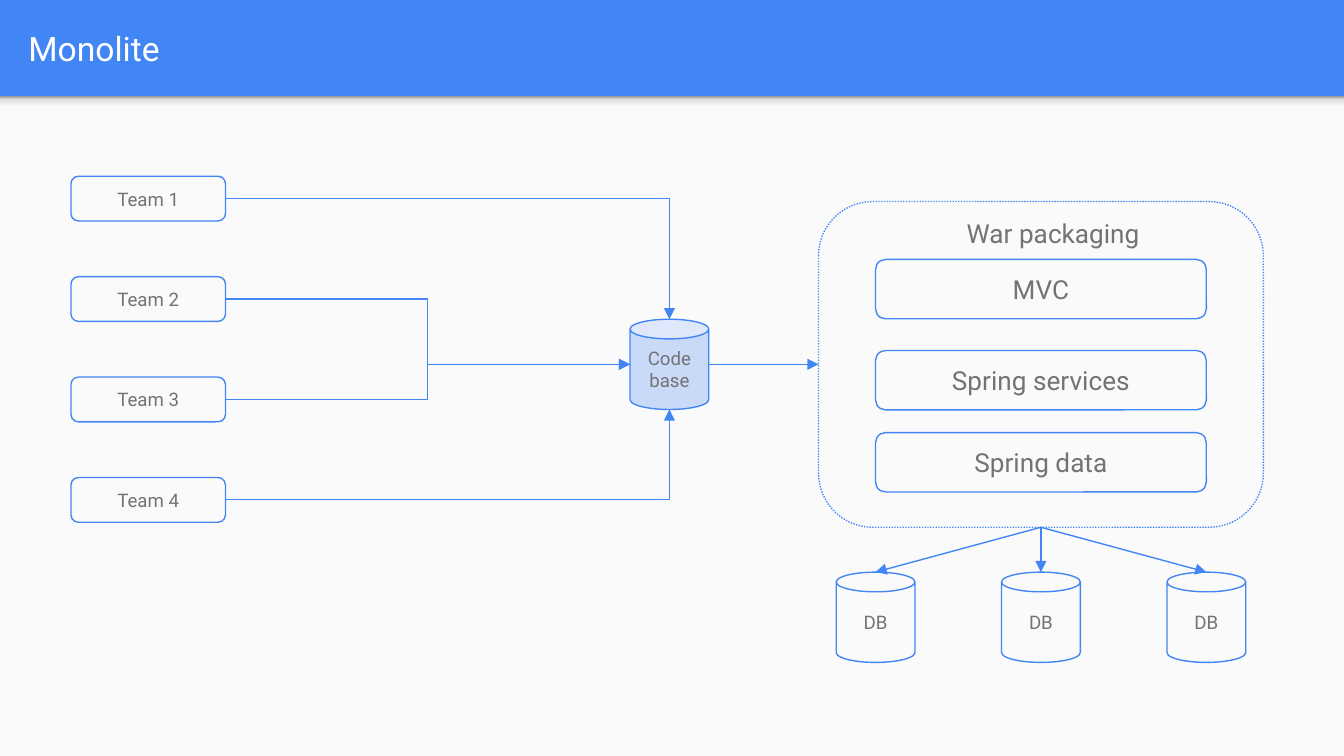
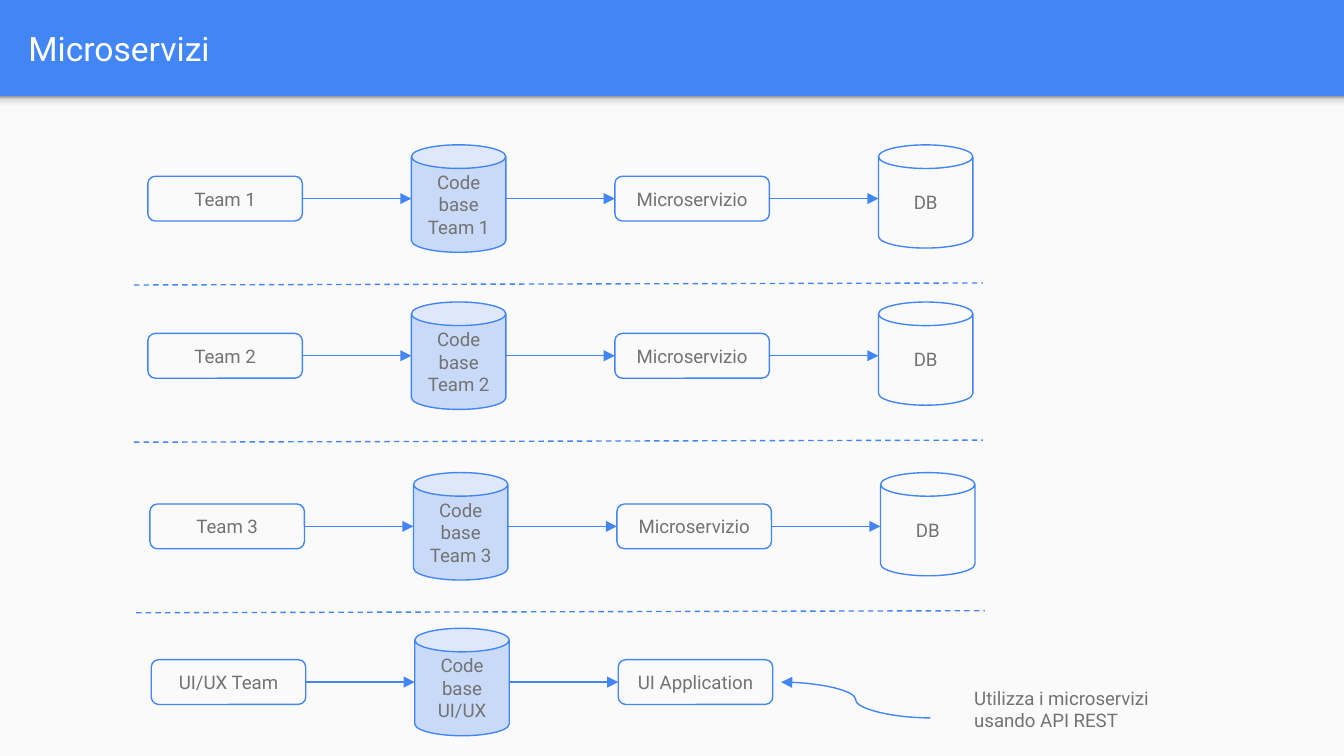
from lxml.etree import SubElement
from pptx import Presentation
from pptx.dml.color import RGBColor
from pptx.enum.dml import MSO_LINE
from pptx.enum.shapes import MSO_CONNECTOR, MSO_SHAPE
from pptx.enum.text import MSO_ANCHOR, MSO_AUTO_SIZE, PP_ALIGN
from pptx.oxml.ns import qn
from pptx.util import Pt

COLORS = {
    "blue": "4285F4",
    "pale_blue": "C9DAF8",
    "panel": "FAFAFA",
    "text": "737373",
    "white": "FFFFFF",
}
SHADE_STOPS = [(0, "F9F9F9"), (36, "F9F9F9"), (80, "DEDEDE"), (100, "999999")]
FONT = "Roboto"
PAGE_WIDTH, PAGE_HEIGHT = 720, 405
BAND_HEIGHT = 51.6
TEAM_SIZE = (82.8, 24)
INSETS = (7.2, 7.2, 7.2, 7.2)


def color(name):
    return RGBColor.from_string(COLORS[name])


def write_text(frame, text, size=10, ink="text", align=PP_ALIGN.CENTER,
               anchor=MSO_ANCHOR.MIDDLE, insets=INSETS):
    """Fill a text frame, one paragraph per line of text."""
    frame.word_wrap = True
    frame.auto_size = MSO_AUTO_SIZE.NONE
    frame.vertical_anchor = anchor
    (frame.margin_left, frame.margin_top,
     frame.margin_right, frame.margin_bottom) = map(Pt, insets)
    frame.text = text
    for para in frame.paragraphs:
        para.alignment = align
        for span in para.runs:
            span.font.name = FONT
            span.font.size = Pt(size)
            span.font.color.rgb = color(ink)


class Deck:
    def __init__(self):
        self.deck = Presentation()
        self.deck.slide_width = Pt(PAGE_WIDTH)
        self.deck.slide_height = Pt(PAGE_HEIGHT)
        self.layout = self.deck.slide_layouts.get_by_name("Title Only")
        self.page = None

    def add_page(self, title):
        self.page = self.deck.slides.add_slide(self.layout)
        if len(self.deck.slides) == 1:
            self.dress_layout()
        box = self.page.shapes.title
        box.left, box.top, box.width, box.height = map(Pt, (8, 1.8, 695, 47.5))
        write_text(box.text_frame, title, size=18, ink="white", align=PP_ALIGN.LEFT)

    def dress_layout(self):
        """Give the layout its blue band, light panel and band shadow."""
        background = self.layout.background.fill
        background.solid()
        background.fore_color.rgb = color("blue")
        panel = self.shape(MSO_SHAPE.RECTANGLE, 0, BAND_HEIGHT, PAGE_WIDTH,
                           PAGE_HEIGHT - BAND_HEIGHT, fill="panel", line=None)
        shade = self.shape(MSO_SHAPE.RECTANGLE, 0, BAND_HEIGHT, PAGE_WIDTH, 8.6,
                           line=None)
        shade.fill.gradient()
        shade.fill.gradient_angle = 90
        stops = shade._element.spPr.find(".//" + qn("a:gsLst"))
        for stop in list(stops):
            stops.remove(stop)
        for percent, value in SHADE_STOPS:
            stop = SubElement(stops, qn("a:gs"), pos=str(percent * 1000))
            SubElement(stop, qn("a:srgbClr"), val=value)
        tree = self.layout.shapes._spTree
        for index, part in enumerate((panel, shade), start=2):
            tree.insert(index, part._element)

    def shape(self, kind, left, top, width, height, text="", fill=None,
              line="blue", dash=None, **text_format):
        box = self.page.shapes.add_shape(kind, *map(Pt, (left, top, width, height)))
        box.shadow.inherit = False
        if fill:
            box.fill.solid()
            box.fill.fore_color.rgb = color(fill)
        else:
            box.fill.background()
        if line:
            self.style_line(box.line, line, dash)
        else:
            box.line.fill.background()
        if text:
            write_text(box.text_frame, text, **text_format)
        return box

    def box(self, *place, **options):
        return self.shape(MSO_SHAPE.ROUNDED_RECTANGLE, *place, **options)

    def can(self, *place, **options):
        return self.shape(MSO_SHAPE.CAN, *place, **options)

    def style_line(self, line, ink="blue", dash=None):
        line.color.rgb = color(ink)
        line.width = Pt(0.75)
        if dash:
            line.dash_style = dash

    def connector(self, start, end, kind=MSO_CONNECTOR.STRAIGHT, preset=None,
                  arrow="tailEnd", dash=None):
        """Draw a line; arrow is tailEnd (at end), headEnd (at start) or None."""
        link = self.page.shapes.add_connector(kind, *map(Pt, (*start, *end)))
        self.style_line(link.line, dash=dash)
        properties = link._element.spPr
        if preset:
            properties.find(qn("a:prstGeom")).set("prst", preset)
        if arrow:
            SubElement(link.line._get_or_add_ln(), qn("a:" + arrow), type="triangle")
        SubElement(properties, qn("a:effectLst"))


def build_monolith(deck):
    deck.add_page("Monolite")

    package_left, package_top, package_width, package_height = 438.5, 108, 238.3, 174.5
    package_center = package_left + package_width / 2
    package_bottom = package_top + package_height
    layer_width = 177.2
    for name, top in (("MVC", 139), ("Spring services", 187.8), ("Spring data", 231.8)):
        deck.box(package_center - layer_width / 2, top, layer_width, 31.8,
                 text=name, size=14)
    deck.box(package_left, package_top, package_width, package_height,
             text="War packaging", size=14, dash=MSO_LINE.ROUND_DOT,
             anchor=MSO_ANCHOR.TOP, insets=(20.2, 0, 7.2, 7.2))

    can_width, can_height = 42.2, 48.4
    database_top = 306.5
    for offset in (-1, 0, 1):
        center = package_center + offset * 88.6
        deck.can(center - can_width / 2, database_top, can_width, can_height, text="DB")
        deck.connector((package_center, package_bottom), (center, database_top))

    code_left, code_top = 337.5, 171
    code_center = code_left + can_width / 2
    code_middle = code_top + can_height / 2
    deck.can(code_left, code_top, can_width, can_height, text="Code base",
             fill="pale_blue")
    deck.connector((code_left + can_width, code_middle), (package_left, code_middle))

    team_left, team_width = 38, TEAM_SIZE[0]
    corner = "bentConnector2"
    routes = [
        ((code_center, code_top), corner),
        ((code_left, code_middle), None),
        ((code_left, code_middle), None),
        ((code_center, code_top + can_height), corner),
    ]
    for index, (target, preset) in enumerate(routes):
        middle = 106.4 + index * 53.8
        deck.box(team_left, middle - TEAM_SIZE[1] / 2, *TEAM_SIZE,
                 text=f"Team {index + 1}")
        deck.connector((team_left + team_width, middle), target,
                       kind=MSO_CONNECTOR.ELBOW, preset=preset)


def build_microservices(deck):
    deck.add_page("Microservizi")
    team_width, team_height = TEAM_SIZE
    can_width, code_height, database_height = 50.6, 57.6, 55.3
    gap = 58.4
    rows = [
        (79.2, 106.4, "Team 1", "Team 1", "Microservizio"),
        (79.2, 190.6, "Team 2", "Team 2", "Microservizio"),
        (80.3, 282, "Team 3", "Team 3", "Microservizio"),
        (81, 365.4, "UI/UX Team", "UI/UX", "UI Application"),
    ]
    for left, middle, team, code_owner, service in rows:
        has_database = service == "Microservizio"
        box_top = middle - team_height / 2
        can_top = middle - code_height / 2
        code_left = left + team_width + gap
        service_left = code_left + can_width + gap
        service_right = service_left + team_width
        database_left = service_right + gap

        deck.box(left, box_top, *TEAM_SIZE, text=team)
        deck.can(code_left, can_top, can_width, code_height, fill="pale_blue",
                 text=f"Code base\n{code_owner}")
        deck.box(service_left, box_top, *TEAM_SIZE, text=service)
        arrow_ends = [code_left, service_left]
        if has_database:
            deck.can(database_left, can_top, can_width, database_height, text="DB")
            arrow_ends.append(database_left)
            deck.connector((left - 7.4, middle + 46.3), (left + 447.3, middle + 45.2),
                           arrow=None, dash=MSO_LINE.DASH)
        for end in arrow_ends:
            deck.connector((end - gap, middle), (end, middle))

    deck.connector((418.5, 365.4), (498.5, 384.6), kind=MSO_CONNECTOR.CURVE,
                   arrow="headEnd")
    deck.box(513.5, 366, 134.6, 28, text="Utilizza i microservizi usando API REST",
             line=None, align=PP_ALIGN.LEFT)


def main():
    deck = Deck()
    build_monolith(deck)
    build_microservices(deck)
    deck.deck.save("out.pptx")


if __name__ == "__main__":
    main()
